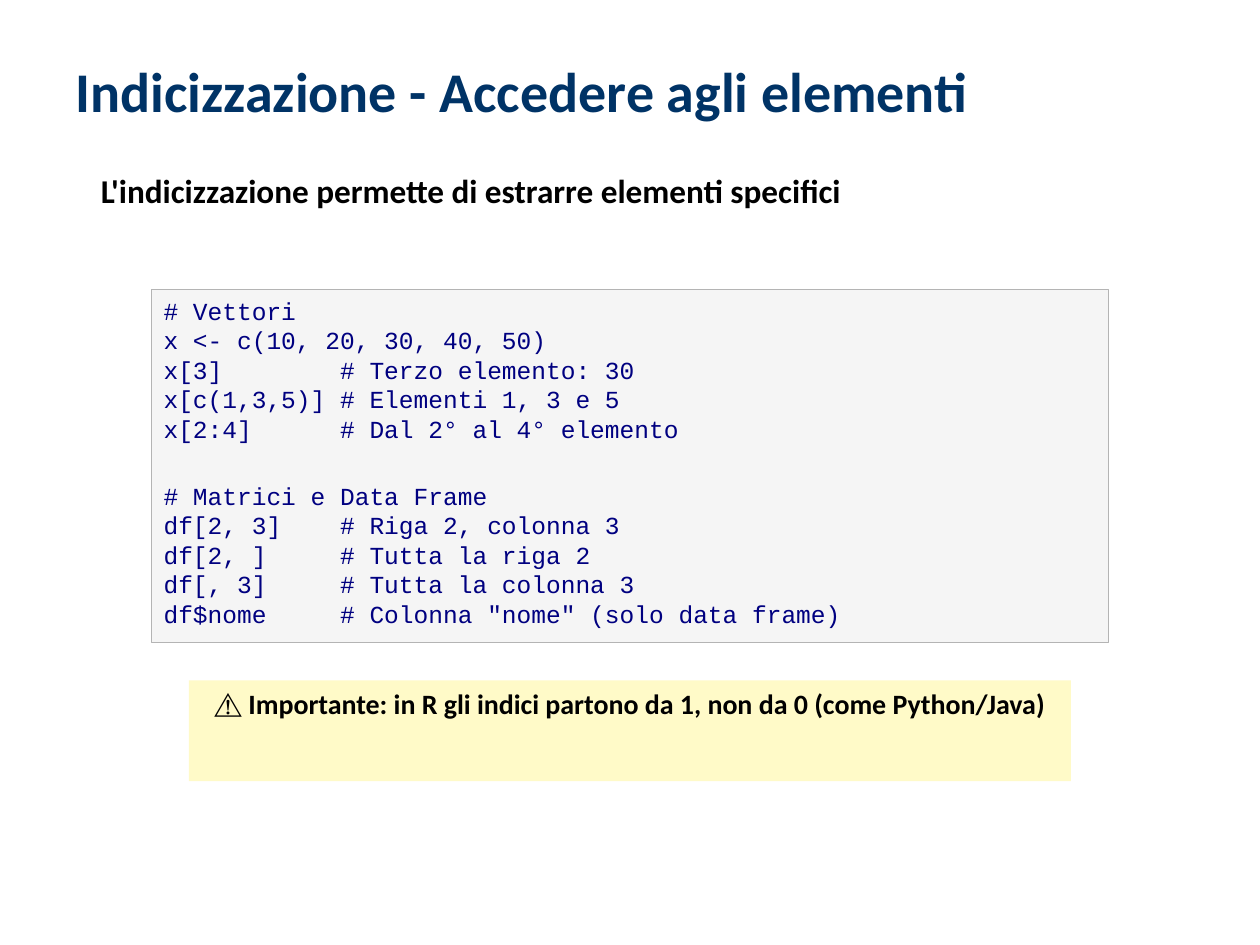
from dataclasses import dataclass

from lxml.etree import SubElement
from pptx import Presentation
from pptx.dml.color import RGBColor
from pptx.enum.shapes import MSO_SHAPE
from pptx.enum.text import MSO_ANCHOR, MSO_AUTO_SIZE, PP_ALIGN
from pptx.oxml.ns import qn
from pptx.shapes.autoshape import Shape
from pptx.slide import Slide
from pptx.util import Inches, Pt


@dataclass(frozen=True)
class TextStyle:
    font: str
    size: int
    color: str
    bold: bool = True
    alignment: PP_ALIGN = PP_ALIGN.LEFT


@dataclass(frozen=True)
class Theme:
    title: TextStyle = TextStyle("Calibri", 32, "003366")
    body: TextStyle = TextStyle("Calibri", 19, "000000")
    code: TextStyle = TextStyle("Courier New", 14, "000080", bold=False)
    warning: TextStyle = TextStyle("Calibri", 16, "000000", alignment=PP_ALIGN.CENTER)
    code_fill: str = "F5F5F5"
    code_line: str = "B4B4B4"
    warning_fill: str = "FFFAC8"


@dataclass(frozen=True)
class Box:
    left: float
    top: float
    width: float
    height: float


THEME = Theme()

TITLE = "Indicizzazione - Accedere agli elementi"
SUBTITLE = "L'indicizzazione permette di estrarre elementi specifici"
CODE = """# Vettori
x <- c(10, 20, 30, 40, 50)
x[3]        # Terzo elemento: 30
x[c(1,3,5)] # Elementi 1, 3 e 5
x[2:4]      # Dal 2° al 4° elemento

# Matrici e Data Frame
df[2, 3]    # Riga 2, colonna 3
df[2, ]     # Tutta la riga 2
df[, 3]     # Tutta la colonna 3
df$nome     # Colonna "nome" (solo data frame)"""
WARNING = "⚠️ Importante: in R gli indici partono da 1, non da 0 (come Python/Java)"


def write_text(shape: Shape, text: str, style: TextStyle) -> None:
    """Write one unbulleted paragraph, with a line break between text lines."""
    frame = shape.text_frame
    frame.word_wrap = True
    frame.auto_size = MSO_AUTO_SIZE.NONE
    frame.vertical_anchor = MSO_ANCHOR.TOP
    paragraph = frame.paragraphs[0]
    paragraph.alignment = style.alignment
    paragraph.space_before = Pt(0)
    properties = paragraph._p.get_or_add_pPr()
    properties.set("marL", "0")
    properties.set("indent", "0")
    SubElement(properties, qn("a:buNone"))
    for number, line in enumerate(text.split("\n")):
        if number:
            paragraph.add_line_break()
        run = paragraph.add_run()
        run.text = line
        run.font.name = style.font
        run.font.size = Pt(style.size)
        run.font.bold = style.bold
        run.font.color.rgb = RGBColor.from_string(style.color)


def fill_placeholder(shape: Shape, box: Box, text: str, style: TextStyle) -> None:
    shape.left, shape.top = Inches(box.left), Inches(box.top)
    shape.width, shape.height = Inches(box.width), Inches(box.height)
    write_text(shape, text, style)


def add_panel(slide: Slide, box: Box, text: str, style: TextStyle,
              fill: str, line: str | None = None) -> None:
    shape = slide.shapes.add_shape(
        MSO_SHAPE.RECTANGLE, Inches(box.left), Inches(box.top),
        Inches(box.width), Inches(box.height))
    shape.shadow.inherit = False
    shape.fill.solid()
    shape.fill.fore_color.rgb = RGBColor.from_string(fill)
    if line:
        shape.line.color.rgb = RGBColor.from_string(line)
        shape.line.width = Pt(0.75)
    else:
        shape.line.fill.background()
    write_text(shape, text, style)


def main() -> None:
    presentation = Presentation()
    presentation.slide_width = Inches(10)
    presentation.slide_height = Inches(7.5)
    slide = presentation.slides.add_slide(presentation.slide_layouts[1])
    fill_placeholder(slide.shapes.title, Box(0.5, 0.4, 9, 0.7), TITLE, THEME.title)
    fill_placeholder(slide.placeholders[1], Box(0.7, 1.3, 8.6, 5.2), SUBTITLE, THEME.body)
    add_panel(slide, Box(1.2, 2.3, 7.6, 2.8), CODE, THEME.code,
              THEME.code_fill, THEME.code_line)
    add_panel(slide, Box(1.5, 5.4, 7, 0.8), WARNING, THEME.warning, THEME.warning_fill)
    presentation.save("out.pptx")


if __name__ == "__main__":
    main()
